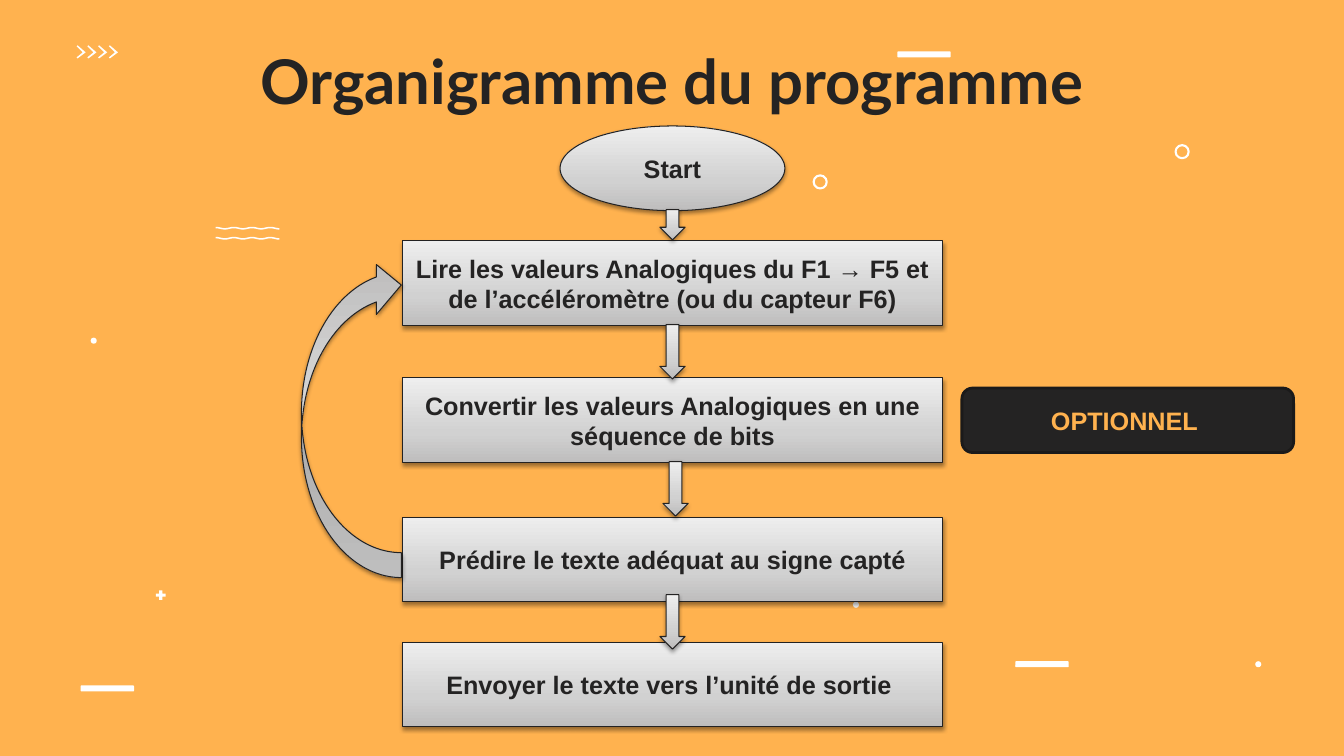
from collections import namedtuple
from copy import deepcopy
from math import cos, pi

from lxml.etree import SubElement
from pptx import Presentation
from pptx.dml.color import RGBColor
from pptx.enum.shapes import MSO_SHAPE as Shape
from pptx.enum.text import MSO_ANCHOR as Anchor, PP_ALIGN as Align
from pptx.oxml.ns import qn
from pptx.util import Inches, Pt

Box = namedtuple("Box", "left top width height")

WIDTH, HEIGHT = 13.33, 7.5
ORANGE, DARK, OUTLINE, WHITE = "FFB24F", "242323", "232222", "FFFFFF"
SILVER = [(0, "BEBDBD"), (0.35, "D1D1D1"), (1, "EEEEEE")]
STEP_HEIGHT = 0.84
LABEL = {"size": Pt(18), "name": "Arial", "bold": True}
HEADING = {"size": Pt(44), "name": "Lato", "bold": True}

# Tops are measured from the top of the flowchart
STEPS = [
    (1.14, "Lire les valeurs Analogiques du F1 → F5 et de l’accéléromètre (ou du capteur F6)"),
    (2.5, "Convertir les valeurs Analogiques en une séquence de bits"),
    (3.88, "Prédire le texte adéquat au signe capté"),
    (5.12, "Envoyer le texte vers l’unité de sortie "),
]
# Top, height and sideways shift of each arrow between two steps
ARROWS = [(0.83, 0.3, 0), (1.97, 0.54, 0), (3.33, 0.54, 0.03), (4.65, 0.54, 0)]


def colour(hex_text):
    return RGBColor.from_string(hex_text)


def set_outline(shape, hex_text, width):
    shape.line.color.rgb = colour(hex_text)
    shape.line.width = Pt(width)


def add_preset(page, kind, box, fill=None, line=None, adjust=None):
    """Add a flat preset shape; line is a pair of colour and width."""
    shape = page.shapes.add_shape(kind, *map(Inches, box))
    shape.shadow.inherit = False
    if fill:
        shape.fill.solid()
        shape.fill.fore_color.rgb = colour(fill)
    else:
        shape.fill.background()
    if line:
        set_outline(shape, *line)
    else:
        shape.line.fill.background()
    if adjust is not None:
        shape.adjustments[0] = adjust
    return shape


def add_silver(page, kind, box):
    """Add a shape with the silver gradient and a soft shadow below it."""
    shape = add_preset(page, kind, box, line=(OUTLINE, 0.75))
    shape.fill.gradient()
    shape.fill.gradient_angle = 90
    properties = shape._element.spPr
    stop_list = properties.find(".//" + qn("a:gsLst"))
    stop_list.append(deepcopy(stop_list[-1]))
    for stop, (position, hex_text) in zip(shape.fill.gradient_stops, SILVER):
        stop.position = position
        stop.color.rgb = colour(hex_text)

    shadow = SubElement(properties.find(qn("a:effectLst")), qn("a:outerShdw"),
                        blurRad=str(Pt(3.1)), dist=str(Pt(1.6)),
                        dir="5400000", rotWithShape="0")
    black = SubElement(shadow, qn("a:srgbClr"), val="000000")
    SubElement(black, qn("a:alpha"), val="38000")
    return shape


def write(shape, text, font_values, hex_text=DARK, anchor=Anchor.MIDDLE):
    frame = shape.text_frame
    frame.word_wrap = True
    frame.vertical_anchor = anchor
    para = frame.paragraphs[0]
    para.alignment = Align.CENTER
    span = para.add_run()
    span.text = text
    for name, value in font_values.items():
        setattr(span.font, name, value)
    span.font.color.rgb = colour(hex_text)
    return frame


def add_outline(page, points):
    """Add a closed white shape through points given in inches."""
    first, *others = [(Inches(x), Inches(y)) for x, y in points]
    builder = page.shapes.build_freeform(*first)
    builder.add_line_segments(others, close=True)
    shape = builder.convert_to_shape()
    shape.shadow.inherit = False
    shape.fill.solid()
    shape.fill.fore_color.rgb = colour(WHITE)
    shape.line.fill.background()


def add_chevrons(page, box, count=4):
    step = (box.width - 0.09) / (count - 1)
    profile = [(0.01, 0), (0.09, 0.07), (0.01, 0.13), (0, 0.12), (0.06, 0.07), (0, 0.01)]
    for index in range(count):
        left = box.left + index * step
        add_outline(page, [(left + x, box.top + y) for x, y in profile])


def add_waves(page, box, count=2, periods=3.5, samples=56):
    thickness, swing = 0.015, 0.01
    for index in range(count):
        top = box.top + index * (box.height - 0.03)
        upper = [(box.left + box.width * i / samples,
                  top + swing * (1 - cos(2 * pi * periods * i / samples)) / 1.5)
                 for i in range(samples + 1)]
        lower = [(x, y + thickness) for x, y in reversed(upper)]
        add_outline(page, upper + lower)


def add_decor(page, box):
    """Scatter the white ornaments over the given box."""
    def place(x, y, width, height):
        return Box(box.left + x, box.top + y, width, height)

    for x, y in [(11.66, 1.44), (8.07, 1.74)]:
        add_preset(page, Shape.OVAL, place(x, y, 0.13, 0.13), line=(WHITE, 1.5))
    for x, y in [(0.9, 3.35), (8.46, 5.97), (12.45, 6.56)]:
        add_preset(page, Shape.OVAL, place(x, y, 0.06, 0.06), WHITE)
    for x, y in [(8.9, 0.51), (0.8, 6.8), (10.07, 6.56)]:
        add_preset(page, Shape.ROUNDED_RECTANGLE, place(x, y, 0.53, 0.06), WHITE, adjust=0.17)
    add_preset(page, Shape.MATH_PLUS, place(1.53, 5.84, 0.13, 0.13), WHITE, adjust=0.24)
    add_chevrons(page, place(0.76, 0.45, 0.41, 0.13))
    add_waves(page, place(2.14, 2.25, 0.63, 0.13))


def add_title(page, box, text):
    title = page.shapes.add_textbox(*map(Inches, box))
    frame = write(title, text, HEADING, anchor=Anchor.BOTTOM)
    for side in ("left", "right", "top", "bottom"):
        setattr(frame, f"margin_{side}", Inches(0.1))


def add_flowchart(page, box):
    """Stack the steps on the right of the box, with the loop on its left."""
    loop_width, start_width, arrow_width = 1, 2.23, 0.25
    step_left, step_width = box.left + loop_width, box.width - loop_width
    centre = step_left + step_width / 2

    start = add_silver(page, Shape.OVAL,
                       Box(centre - start_width / 2, box.top, start_width, STEP_HEIGHT))
    write(start, "Start", LABEL)
    for top, text in STEPS:
        step = add_silver(page, Shape.RECTANGLE,
                          Box(step_left, box.top + top, step_width, STEP_HEIGHT))
        write(step, text, LABEL)
    for top, height, shift in ARROWS:
        add_silver(page, Shape.DOWN_ARROW,
                   Box(centre - arrow_width / 2 + shift, box.top + top, arrow_width, height))
    loop = add_silver(page, Shape.CURVED_LEFT_ARROW,
                      Box(box.left, box.top + 1.33, loop_width - 0.01, 3.15))
    loop.rotation = 180


def add_badge(page, box, text):
    badge = add_preset(page, Shape.ROUNDED_RECTANGLE, box, DARK, ("1B1A1A", 2))
    write(badge, text, LABEL, ORANGE)


def main():
    deck = Presentation()
    deck.slide_width, deck.slide_height = Inches(WIDTH), Inches(HEIGHT)
    page = deck.slides.add_slide(deck.slide_layouts[6])
    page.background.fill.solid()
    page.background.fill.fore_color.rgb = colour(ORANGE)

    add_decor(page, Box(0, 0, WIDTH, HEIGHT))
    add_title(page, Box(1.03, 0.42, 11.27, 0.84), "Organigramme du programme")
    add_flowchart(page, Box(2.99, 1.25, 6.36, 5.96))
    add_badge(page, Box(9.54, 3.85, 3.29, 0.64), "OPTIONNEL ")
    deck.save("out.pptx")


if __name__ == "__main__":
    main()
